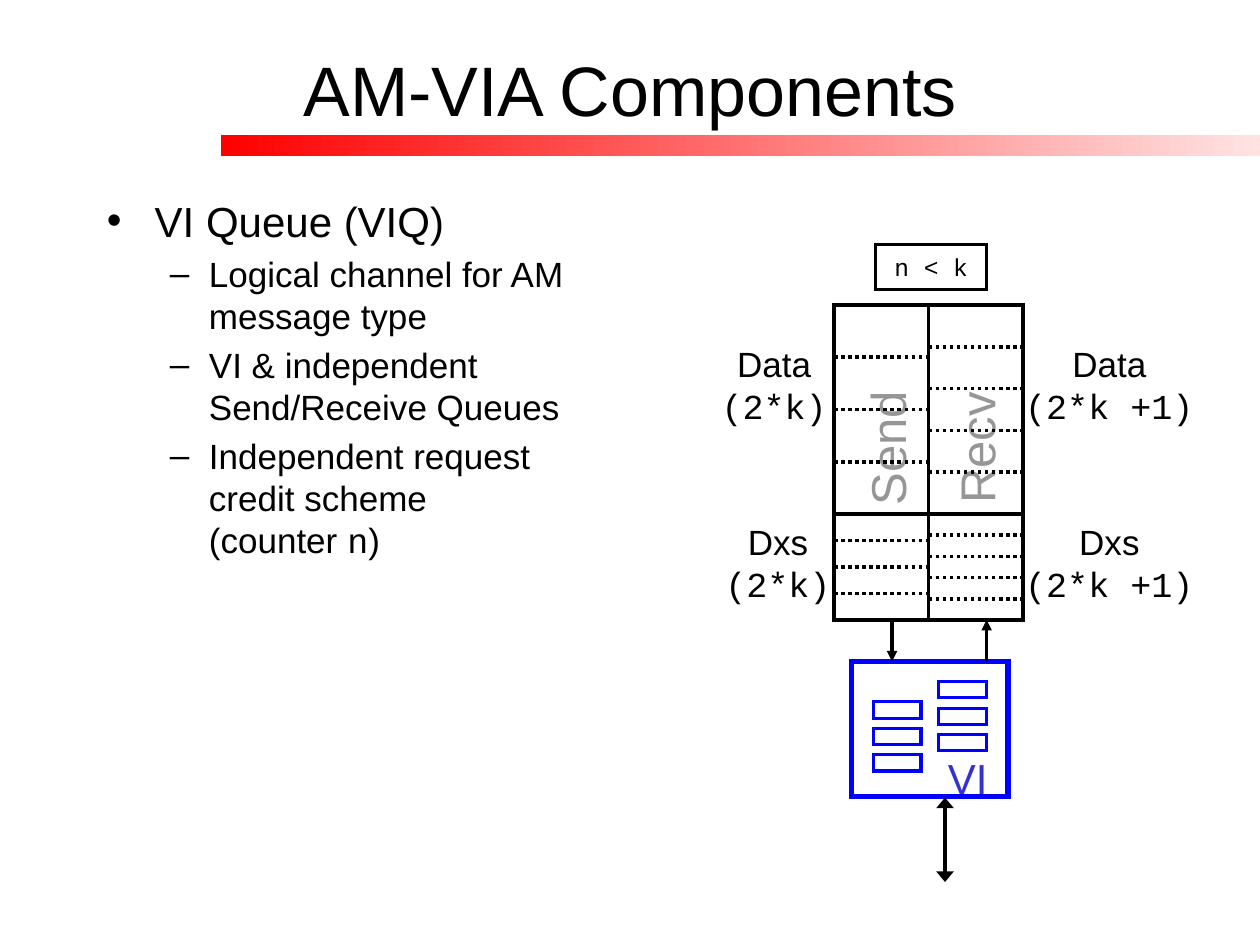
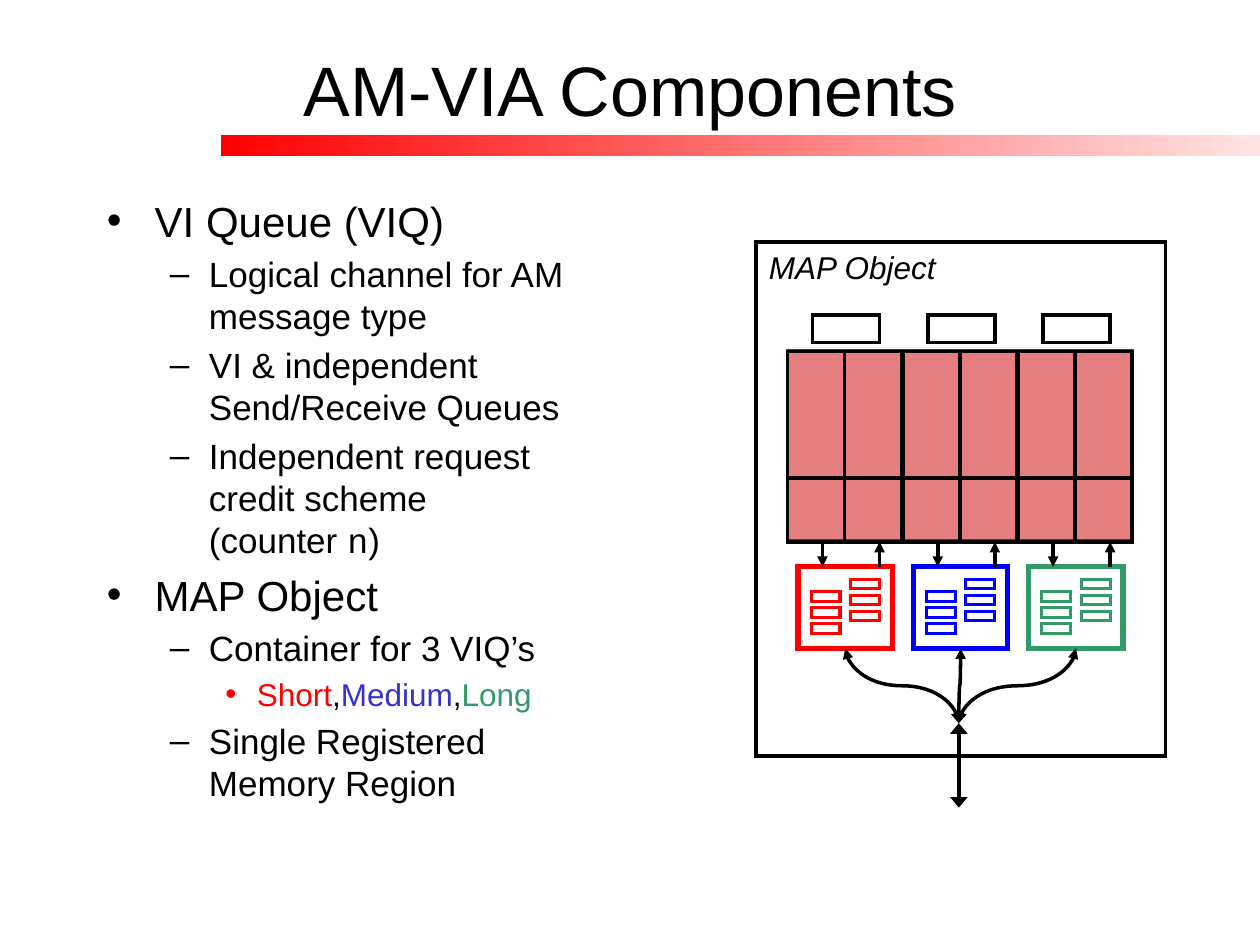
from dataclasses import dataclass

from lxml import etree
from pptx import Presentation
from pptx.dml.color import RGBColor
from pptx.enum.dml import MSO_LINE
from pptx.enum.shapes import MSO_CONNECTOR, MSO_SHAPE
from pptx.enum.text import MSO_ANCHOR, MSO_AUTO_SIZE, PP_ALIGN
from pptx.oxml.ns import qn
from pptx.util import Inches, Pt

RECTANGLE = MSO_SHAPE.RECTANGLE
STRAIGHT, CURVE = MSO_CONNECTOR.STRAIGHT, MSO_CONNECTOR.CURVE
DOTTED = MSO_LINE.ROUND_DOT
MIDDLE, TOP = MSO_ANCHOR.MIDDLE, MSO_ANCHOR.TOP
CENTER, LEFT = PP_ALIGN.CENTER, PP_ALIGN.LEFT
FIT_SHAPE = MSO_AUTO_SIZE.SHAPE_TO_FIT_TEXT


@dataclass(frozen=True)
class Theme:
    sans: str = "Arial"
    mono: str = "Courier New"
    black: str = "000000"
    white: str = "FFFFFF"
    red: str = "FF0000"
    band_end: str = "FFE3E3"
    blue: str = "0000FF"
    violet: str = "3333CC"
    green: str = "339966"
    gray: str = "969696"
    crimson: str = "CC0000"
    title_size: int = 40
    queue_size: int = 28
    vi_size: int = 24
    label_size: int = 20
    caption_size: int = 18
    counter_size: int = 14
    thin: float = 1.75
    normal: float = 2
    thick: float = 3


THEME = Theme()
SLIDE_SIZE = (10, 7.5)
TITLE = "AM-VIA Components"
TITLE_AREA = (0.75, 0.08, 8.5, 1.25)
BAND_AREA = (1.75, 1.07, 8.25, 0.17)
BODY_AREA = (0.75, 1.5, 4, 5.17)

LEVELS = [
    {"size": 24, "margin": 0.38, "hang": 0.38, "bullet": "•"},
    {"size": 20, "margin": 0.81, "hang": 0.31, "bullet": "–"},
    {"size": 18, "margin": 1.19, "hang": 0.25, "bullet": "•"},
]


def queue_points(credit_text):
    return [
        (0, [("VI Queue (VIQ)",)]),
        (1, [("Logical channel for AM message type",)]),
        (1, [("VI & independent Send/Receive Queues",)]),
        (1, [(credit_text + "\n(counter ",), ("n", THEME.mono), (")",)]),
    ]


QUEUE_BODY = queue_points("Independent request credit scheme ")
MAP_BODY = queue_points("Independent request \ncredit scheme ") + [
    (0, [("MAP Object",)]),
    (1, [("Container for 3 VIQ’s",)]),
    (2, [("Short", THEME.sans, THEME.red), (",",),
         ("Medium", THEME.sans, THEME.violet), (",",),
         ("Long", THEME.sans, THEME.green)]),
    (1, [("Single Registered Memory Region",)]),
]

COLUMN, DEPTH, DIVIDER = 0.75, 2.5, 1.66
VI_LEFT, VI_TOP, VI_WIDTH, VI_HEIGHT = 0.14, 2.83, 1.24, 1.07
SLOT_STACKS = [(0.31, 3.15), (0.83, 2.99)]
SLOT_SIZE, SLOT_PITCH = (0.38, 0.13), 0.21
SEND_X, RECEIVE_X = 0.46, 1.21
COUNTER = (0.33, -0.48, 0.88, 0.36)

QUEUE_ORIGIN = (6.62, 2.42)
QUEUE_ROWS = [4, 5]
QUEUE_LABELS = [
    ("Data", "(2*k)", (5.63, 2.67, 1.03, 0.77)),
    ("Data", "(2*k +1)", (8.04, 2.67, 1.53, 0.77)),
    ("Dxs", "(2*k)", (5.66, 4.08, 1.03, 0.77)),
    ("Dxs", "(2*k +1)", (8.04, 4.08, 1.53, 0.77)),
]
QUEUE_NAMES = [("Send", (6.48, 3.27, 1.11, 0.57)), ("Recv", (7.2, 3.27, 1.09, 0.57))]

MAP_FRAME = (6, 1.92, 3.25, 4.08)
MAP_ORIGIN, MAP_SCALE, MAP_PITCH = (6.25, 2.79), 0.604, 0.915
MAP_COLORS = [THEME.red, THEME.blue, THEME.green]
REGION = (6.25, 2.78, 2.74, 1.51)
HUB = (7.61, 5.74)


def rgb(color):
    return RGBColor.from_string(color)


def add_box(shapes, area, color, weight, fill=None):
    box = shapes.add_shape(RECTANGLE, *map(Inches, area))
    box.shadow.inherit = False
    box.line.color.rgb = rgb(color)
    box.line.width = Pt(weight)
    etree.SubElement(box.line._get_or_add_ln(), qn("a:miter"), lim="800000")
    if fill:
        box.fill.solid()
        box.fill.fore_color.rgb = rgb(fill)
    else:
        box.fill.background()
    return box


def add_line(shapes, start, end, heads=(), dash=None, kind=STRAIGHT, head_width="med"):
    line = shapes.add_connector(kind, *map(Inches, (*start, *end)))
    line.line.color.rgb = rgb(THEME.black)
    line.line.width = Pt(THEME.normal)
    if dash:
        line.line.dash_style = dash
    outline = line.line._get_or_add_ln()
    for head in heads:
        etree.SubElement(outline, qn(f"a:{head}"), type="triangle", w=head_width)
    etree.SubElement(line.element.spPr, qn("a:effectLst"))
    return line


def add_vertical_curve(shapes, start, end):
    run, drop = end[0] - start[0], end[1] - start[1]
    center_x, center_y = (start[0] + end[0]) / 2, (start[1] + end[1]) / 2
    curve = add_line(
        shapes,
        (center_x - drop / 2, center_y - abs(run) / 2),
        (center_x + drop / 2, center_y + abs(run) / 2),
        ("headEnd", "tailEnd"), kind=CURVE)
    frame = curve.element.spPr.find(qn("a:xfrm"))
    frame.set("rot", "16200000" if run > 0 else "5400000")
    if run > 0:
        frame.set("flipH", "1")


def write_spans(paragraph, spans, color=THEME.black):
    for text, *style in spans:
        font_name, span_color = (*style, *(THEME.sans, color)[len(style):])
        for index, piece in enumerate(text.split("\n")):
            if index:
                paragraph.add_line_break()
            if piece:
                span = paragraph.add_run()
                span.text = piece
                span.font.name = font_name
                span.font.color.rgb = rgb(span_color)


def add_text(shapes, area, spans, size, color=THEME.black, align=CENTER, wrap=False):
    box = shapes.add_textbox(*map(Inches, area))
    frame = box.text_frame
    frame.word_wrap = wrap
    frame.auto_size = FIT_SHAPE
    frame.vertical_anchor = MIDDLE
    if not wrap:
        frame.margin_left = frame.margin_right = 0
    paragraph = frame.paragraphs[0]
    paragraph.alignment = align
    paragraph.font.size = Pt(size)
    write_spans(paragraph, spans, color)
    return box


def add_body(page, points):
    box = page.shapes.add_textbox(*map(Inches, BODY_AREA))
    frame = box.text_frame
    frame.word_wrap = True
    frame.vertical_anchor = TOP
    for index, (depth, spans) in enumerate(points):
        level = LEVELS[depth]
        paragraph = frame.add_paragraph() if index else frame.paragraphs[0]
        paragraph.level = depth
        if index:
            paragraph.space_before = Pt(level["size"] * 0.2)
        properties = paragraph._p.get_or_add_pPr()
        properties.set("marL", str(Inches(level["margin"])))
        properties.set("indent", str(-Inches(level["hang"])))
        etree.SubElement(properties, qn("a:buFont"), typeface=THEME.sans)
        etree.SubElement(properties, qn("a:buChar"), char=level["bullet"])
        paragraph.font.size = Pt(level["size"])
        write_spans(paragraph, spans)


def add_queue(page, origin, scale, color):
    shapes = page.shapes.add_group_shape().shapes

    def point(x, y):
        return origin[0] + x * scale, origin[1] + y * scale

    def area(x, y, width, height):
        return (*point(x, y), width * scale, height * scale)

    add_box(shapes, area(VI_LEFT, VI_TOP, VI_WIDTH, VI_HEIGHT), color, THEME.thick)
    for left, top in SLOT_STACKS:
        for row in range(3):
            slot = area(left, top + row * SLOT_PITCH, *SLOT_SIZE)
            add_box(shapes, slot, color, THEME.thin, THEME.white)
    for left in (0, COLUMN):
        add_box(shapes, area(left, 0, COLUMN, DEPTH), THEME.black, THEME.normal)
    add_line(shapes, point(0, DIVIDER), point(2 * COLUMN, DIVIDER))
    add_line(shapes, point(SEND_X, DEPTH), point(SEND_X, VI_TOP), ["tailEnd"])
    add_line(shapes, point(RECEIVE_X, VI_TOP), point(RECEIVE_X, DEPTH), ["tailEnd"])
    add_box(shapes, area(*COUNTER), THEME.black, THEME.normal)
    return point(VI_LEFT + VI_WIDTH / 2, VI_TOP + VI_HEIGHT)


def add_network_arrow(page, x, top):
    add_line(page.shapes, (x, top), (x, top + 0.67), ("headEnd", "tailEnd"),
             head_width="lg")


def add_row_lines(page):
    left, top = QUEUE_ORIGIN
    for column, rows in enumerate(QUEUE_ROWS):
        start = left + column * COLUMN
        heights = [DIVIDER * row / rows for row in range(rows)]
        heights += [DIVIDER + (DEPTH - DIVIDER) * row / rows for row in range(rows + 1)]
        for height in heights:
            y = top + height
            add_line(page.shapes, (start, y), (start + COLUMN, y), dash=DOTTED)


def build_queue_page(page):
    add_body(page, QUEUE_BODY)
    add_queue(page, QUEUE_ORIGIN, 1, THEME.blue)
    add_network_arrow(page, 7.5, 6.33)
    add_text(page.shapes, (7.42, 5.92, 0.52, 0.5), [("VI",)], THEME.vi_size, THEME.violet)
    for name, count, area in QUEUE_LABELS:
        spans = [(name + "\n",), (count, THEME.mono)]
        add_text(page.shapes, area, spans, THEME.label_size)
    for name, area in QUEUE_NAMES:
        box = add_text(page.shapes, area, [(name,)], THEME.queue_size, THEME.gray)
        box.rotation = 270
    add_text(page.shapes, (7, 1.95, 0.92, 0.33), [("n < k", THEME.mono)],
             THEME.counter_size, align=LEFT, wrap=True)
    add_row_lines(page)


def build_map_page(page):
    region = add_box(page.shapes, REGION, THEME.crimson, THEME.normal, THEME.crimson)
    tint = region.element.spPr.find(qn("a:solidFill")).find(qn("a:srgbClr"))
    etree.SubElement(tint, qn("a:alpha"), val="50000")
    add_body(page, MAP_BODY)
    for index, color in enumerate(MAP_COLORS):
        origin = (MAP_ORIGIN[0] + index * MAP_PITCH, MAP_ORIGIN[1])
        port = add_queue(page, origin, MAP_SCALE, color)
        add_vertical_curve(page.shapes, port, HUB)
    add_network_arrow(page, *HUB)
    add_box(page.shapes, MAP_FRAME, THEME.black, THEME.normal)
    caption = add_text(page.shapes, (6, 1.92, 1.53, 0.4), [("MAP Object",)],
                       THEME.caption_size)
    caption.text_frame.paragraphs[0].runs[0].font.italic = True


def place(shape, area):
    shape.left, shape.top, shape.width, shape.height = map(Inches, area)


def add_page(deck, layout):
    page = deck.slides.add_slide(layout)
    title = page.shapes.title
    place(title, TITLE_AREA)
    title.text_frame.text = TITLE
    title.text_frame.vertical_anchor = MIDDLE
    paragraph = title.text_frame.paragraphs[0]
    paragraph.alignment = CENTER
    paragraph.font.name = THEME.sans
    paragraph.font.size = Pt(THEME.title_size)
    paragraph.font.color.rgb = rgb(THEME.black)
    return page


def add_band(page, layout):
    band = add_box(page.shapes, BAND_AREA, THEME.red, THEME.normal)
    band.line.fill.background()
    band.fill.gradient()
    band.fill.gradient_angle = 0
    for stop, color in zip(band.fill.gradient_stops, (THEME.red, THEME.band_end)):
        stop.color.rgb = rgb(color)
    layout.shapes.element.append(band.element)


def main():
    deck = Presentation()
    deck.slide_width, deck.slide_height = map(Inches, SLIDE_SIZE)
    layout = deck.slide_layouts[5]
    pages = [add_page(deck, layout) for _ in range(2)]
    add_band(pages[0], layout)
    build_queue_page(pages[0])
    build_map_page(pages[1])
    deck.save("out.pptx")


if __name__ == "__main__":
    main()
